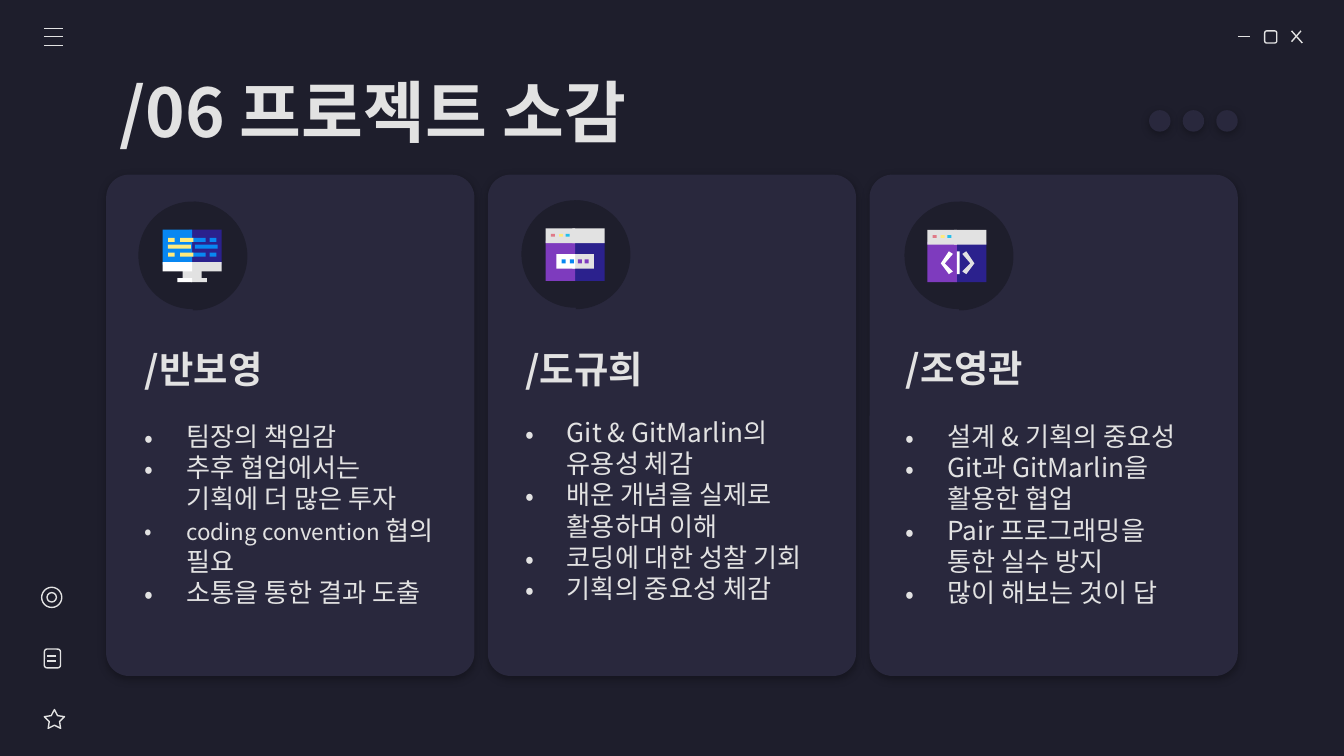
"""Build the project reflections slide: three member cards in a dark app window."""
from lxml import etree
from pptx import Presentation
from pptx import util as u
from pptx.dml.color import RGBColor
from pptx.enum import shapes, text
from pptx.oxml.ns import qn

FONT = "Noto Sans CJK KR"
NIGHT, CARD, LIGHT, WHITE = "1E1E2C", "29283D", "E2E2E2", "FFFFFF"
NAVY, PURPLE, BLUE, YELLOW = "2B218D", "7E3BBE", "0887F2", "FFEA7D"
PINK, CYAN = "E07A88", "24BFEB"
SHAPE = shapes.MSO_SHAPE
rgb = RGBColor.from_string


def style(sp, fill=None, line=None, shadow=False):
    if fill:
        sp.fill.solid()
        sp.fill.fore_color.rgb = rgb(fill)
    else:
        sp.fill.background()
    if line:
        sp.line.color.rgb = rgb(line)
        sp.line.width = u.Pt(0.75)
    else:
        sp.line.fill.background()
    sp.shadow.inherit = False
    if shadow:
        effects = sp._element.spPr.find(qn("a:effectLst"))
        outer = etree.SubElement(effects, qn("a:outerShdw"), blurRad="57150", dist="19050",
                                 dir="5400000", algn="bl", rotWithShape="0")
        color = etree.SubElement(outer, qn("a:srgbClr"), val="000000")
        etree.SubElement(color, qn("a:alpha"), val="30000")


def write(at, paragraphs, bold=False, bullets=False):
    tf = s.shapes.add_textbox(*map(u.Inches, at)).text_frame
    frame = {"word_wrap": True, "vertical_anchor": text.MSO_ANCHOR.MIDDLE}
    frame.update({f"margin_{side}": u.Inches(0.1) for side in ("left", "right", "top", "bottom")})
    for key, value in frame.items():
        setattr(tf, key, value)
    for i, runs in enumerate(paragraphs):
        p = tf.add_paragraph() if i else tf.paragraphs[0]
        if bullets:
            pPr = p._p.get_or_add_pPr()
            pPr.set("marL", str(u.Inches(0.31)))
            pPr.set("indent", str(-u.Inches(0.31)))
            color = etree.SubElement(pPr, qn("a:buClr"))
            etree.SubElement(color, qn("a:srgbClr"), val=LIGHT)
            etree.SubElement(pPr, qn("a:buFont"), typeface=FONT)
            etree.SubElement(pPr, qn("a:buChar"), char="•")
        for words, size in runs:
            r = p.add_run()
            r.text = words
            for key, value in {"name": FONT, "size": u.Pt(size), "bold": bold}.items():
                setattr(r.font, key, value)
            r.font.color.rgb = rgb(LIGHT)
            rPr = r._r.get_or_add_rPr()
            rPr.set("kern", "0")
            etree.SubElement(rPr, qn("a:ea"), typeface=FONT)


prs = Presentation()
prs.slide_width, prs.slide_height = u.Inches(10), u.Inches(10) * 9 // 16
s = prs.slides.add_slide(prs.slide_layouts[6])
s.background.fill.solid()
s.background.fill.fore_color.rgb = rgb(NIGHT)

for i in range(3):
    card = s.shapes.add_shape(SHAPE.ROUNDED_RECTANGLE, u.Inches(0.79 + 2.84 * i), u.Inches(1.3),
                              u.Inches(2.74), u.Inches(3.73))
    card.adjustments[0] = 0.062
    style(card, CARD, shadow=True)
    dot = s.shapes.add_shape(SHAPE.OVAL, u.Inches(8.55 + 0.25 * i), u.Inches(0.82),
                             u.Inches(0.16), u.Inches(0.16))
    style(dot, CARD, shadow=True)

for x, y in [(1.03, 1.5), (3.88, 1.49), (6.73, 1.5)]:
    for kind, size in [(SHAPE.OVAL, 0.8), (SHAPE.PIE, 0.81)]:
        disc = s.shapes.add_shape(kind, u.Inches(x), u.Inches(y), u.Inches(size), u.Inches(size))
        if kind == SHAPE.PIE:
            disc.adjustments[0], disc.adjustments[1] = 54.39, 162
            disc.rotation = 180
        style(disc, NIGHT)

outlines = [
    (SHAPE.ROUNDED_RECTANGLE, (9.41, 0.23, 0.09, 0.09)),
    (SHAPE.ROUNDED_RECTANGLE, (0.33, 4.83, 0.12, 0.14)),
    (SHAPE.OVAL, (0.31, 4.37, 0.15, 0.15)),
    (SHAPE.OVAL, (0.35, 4.41, 0.07, 0.07)),
    (SHAPE.STAR_5_POINT, (0.33, 5.28, 0.15, 0.14)),
]
for kind, at in outlines:
    sp = s.shapes.add_shape(kind, *map(u.Inches, at))
    if kind == SHAPE.STAR_5_POINT:
        sp.adjustments[0] = 0.254
    style(sp, line=LIGHT)

lines = [(0.33, y, 0.47, y) for y in (0.21, 0.27, 0.34)]
lines += [(0.35, y, 0.42, y) for y in (4.88, 4.92)]
lines += [(9.21, 0.27, 9.3, 0.27), (9.61, 0.23, 9.69, 0.32), (9.68, 0.23, 9.61, 0.31)]
for ends in lines:
    sp = s.shapes.add_connector(shapes.MSO_CONNECTOR.STRAIGHT, *map(u.Inches, ends))
    sp.line.color.rgb = rgb(LIGHT)
    sp.line.width = u.Pt(0.75)
    etree.SubElement(sp._element.spPr, qn("a:effectLst"))

monitor = [
    (1.41, 1.71, 0.24, 0.26, NAVY), (1.21, 1.71, 0.22, 0.26, BLUE),
    (1.41, 2.01, 0.09, 0.07, LIGHT), (1.36, 2.01, 0.07, 0.07, LIGHT),
    (1.42, 2.07, 0.12, 0.03, LIGHT), (1.32, 2.07, 0.11, 0.03, WHITE),
    (1.41, 1.95, 0.24, 0.07, LIGHT), (1.21, 1.95, 0.22, 0.07, WHITE),
    (1.45, 1.82, 0.17, 0.03, BLUE), (1.25, 1.82, 0.17, 0.03, YELLOW),
]
for y in (1.77, 1.88):
    monitor += [(x, y, w, 0.03, color) for x, w, color in
                [(1.25, 0.05, YELLOW), (1.56, 0.05, BLUE), (1.42, 0.11, BLUE), (1.34, 0.1, YELLOW)]]
windows = []
for x, y in [(4.06, 1.7), (6.9, 1.71)]:
    windows += [(x + 0.2, y + 0.09, 0.24, 0.3, NAVY), (x, y + 0.09, 0.22, 0.3, PURPLE),
                (x + 0.2, y, 0.24, 0.11, LIGHT), (x, y, 0.22, 0.11, LIGHT)]
    windows += [(x + dx, y + 0.04, 0.03, 0.02, color)
                for dx, color in [(0.04, PINK), (0.1, YELLOW), (0.15, CYAN)]]
password = [(4.26, 1.89, 0.16, 0.11, LIGHT), (4.14, 1.89, 0.14, 0.11, WHITE)]
password += [(x, 1.93, 0.03, 0.03, color) for x, color in
             [(4.18, BLUE), (4.24, BLUE), (4.3, PURPLE), (4.35, PURPLE)]]
code_bar = [(7.12, 1.87, 0.02, 0.17, WHITE)]
for *at, color in monitor + windows + password + code_bar:
    style(s.shapes.add_shape(SHAPE.RECTANGLE, *map(u.Inches, at)), color)

chevron = [(0, 1.96), (0.06, 2.04), (0.09, 2.02), (0.03, 1.96), (0.09, 1.89), (0.06, 1.87)]
for x, side, color in [(7, 1, WHITE), (7.25, -1, LIGHT)]:
    points = [(u.Inches(x + side * dx), u.Inches(y)) for dx, y in chevron]
    builder = s.shapes.build_freeform(*points[0])
    builder.add_line_segments(points[1:], close=True)
    style(builder.convert_to_shape(), color)

write((0.79, 0.51, 8.43, 0.63), [[("/06 프로젝트 소감", 36)]], bold=True)
members = [
    (0.98, 2.49, 2.92, "/반보영", [
        [("팀장의 책임감", 14)],
        [("추후 협업에서는 기획에 더 많은 투자", 14)],
        [("coding convention ", 12), ("협의 필요", 14)],
        [("소통을 통한 결과 도출", 14)]]),
    (3.81, 2.49, 2.89, "/도규희", [
        [("Git & GitMarlin의 유용성 체감", 14)],
        [("배운 개념을 실제로 활용하며 이해", 14)],
        [("코딩에 대한 성찰 기회", 14)],
        [("기획의 중요성 체감", 14)]]),
    (6.64, 2.48, 2.92, "/조영관", [
        [("설계 & 기획의 중요성", 14)],
        [("Git과 GitMarlin을 활용한 협업", 14)],
        [("Pair 프로그래밍을 통한 실수 방지", 14)],
        [("많이 해보는 것이 답", 14)]]),
]
for x, name_y, list_y, name, thoughts in members:
    write((x, name_y, 2.38, 0.51), [[(name, 20)]], bold=True)
    write((x, list_y, 2.38, 1.81), thoughts, bullets=True)

prs.save("out.pptx")
